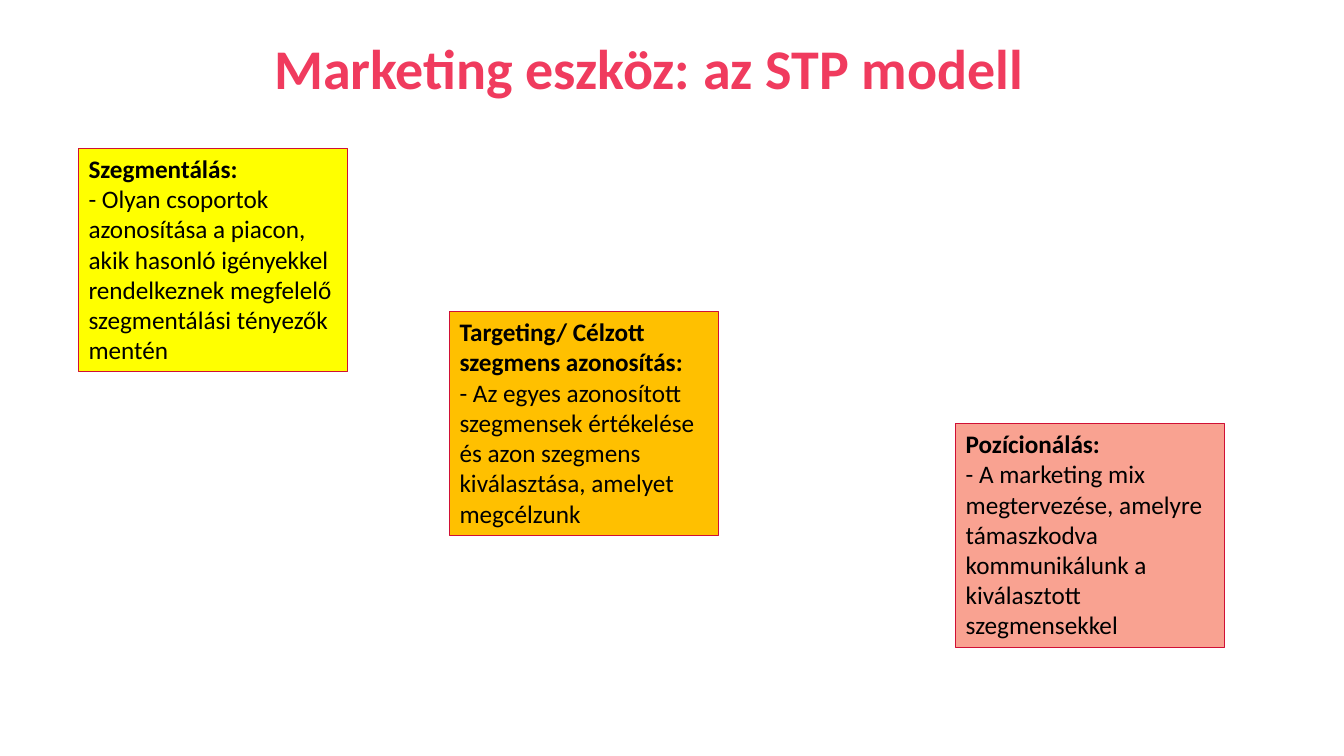
from pptx import Presentation
from pptx.dml.color import RGBColor
from pptx.enum import shapes, text
from pptx.util import Inches, Pt

STEPS = [
    (0.78, 1.47, "FFFF00", "Szegmentálás:",
     "- Olyan csoportok azonosítása a piacon, akik hasonló igényekkel "
     "rendelkeznek megfelelő szegmentálási tényezők mentén"),
    (4.46, 3.09, "FFC000", "Targeting/ Célzott szegmens azonosítás:",
     "- Az egyes azonosított szegmensek értékelése és azon szegmens "
     "kiválasztása, amelyet megcélzunk"),
    (9.48, 4.2, "F9A291", "Pozícionálás:",
     "- A marketing mix megtervezése, amelyre támaszkodva kommunikálunk "
     "a kiválasztott szegmensekkel"),
]


def paint(target, color):
    """Give a fill or a font a solid colour."""
    if hasattr(target, "solid"):
        target.solid()
        target.fore_color.rgb = RGBColor.from_string(color)
    else:
        target.color.rgb = RGBColor.from_string(color)


def style(para, size, color, bold):
    para.alignment = text.PP_ALIGN.LEFT
    font = para.font
    font.name, font.size, font.bold = "Calibri", Pt(size), bold
    paint(font, color)


def set_title(slide, words):
    title = slide.shapes.title
    title.left, title.top = Inches(2.62), Inches(0.28)
    title.width, title.height = Inches(9.85), Inches(0.77)
    frame = title.text_frame
    frame.text = words
    frame.word_wrap = True
    frame.auto_size = text.MSO_AUTO_SIZE.NONE
    frame.vertical_anchor = text.MSO_ANCHOR.TOP
    style(frame.paragraphs[0], 40, "F03B5E", True)


def add_step(slide, left, top, color, head, body):
    box = slide.shapes.add_shape(
        shapes.MSO_SHAPE.RECTANGLE, Inches(left), Inches(top),
        Inches(2.67), Inches(2.22))
    box.shadow.inherit = False
    paint(box.fill, color)
    paint(box.line.fill, "D01035")
    box.line.width = Pt(0.75)
    frame = box.text_frame
    frame.word_wrap = True
    frame.vertical_anchor = text.MSO_ANCHOR.TOP
    frame.text = head
    style(frame.paragraphs[0], 18, "000000", True)
    para = frame.add_paragraph()
    para.text = body
    style(para, 18, "000000", False)


def main():
    deck = Presentation()
    deck.slide_width, deck.slide_height = Inches(13.33), Inches(7.5)
    slide = deck.slides.add_slide(deck.slide_layouts[5])
    set_title(slide, "Marketing eszköz: az STP modell")
    for step in STEPS:
        add_step(slide, *step)
    deck.save("out.pptx")


if __name__ == "__main__":
    main()
